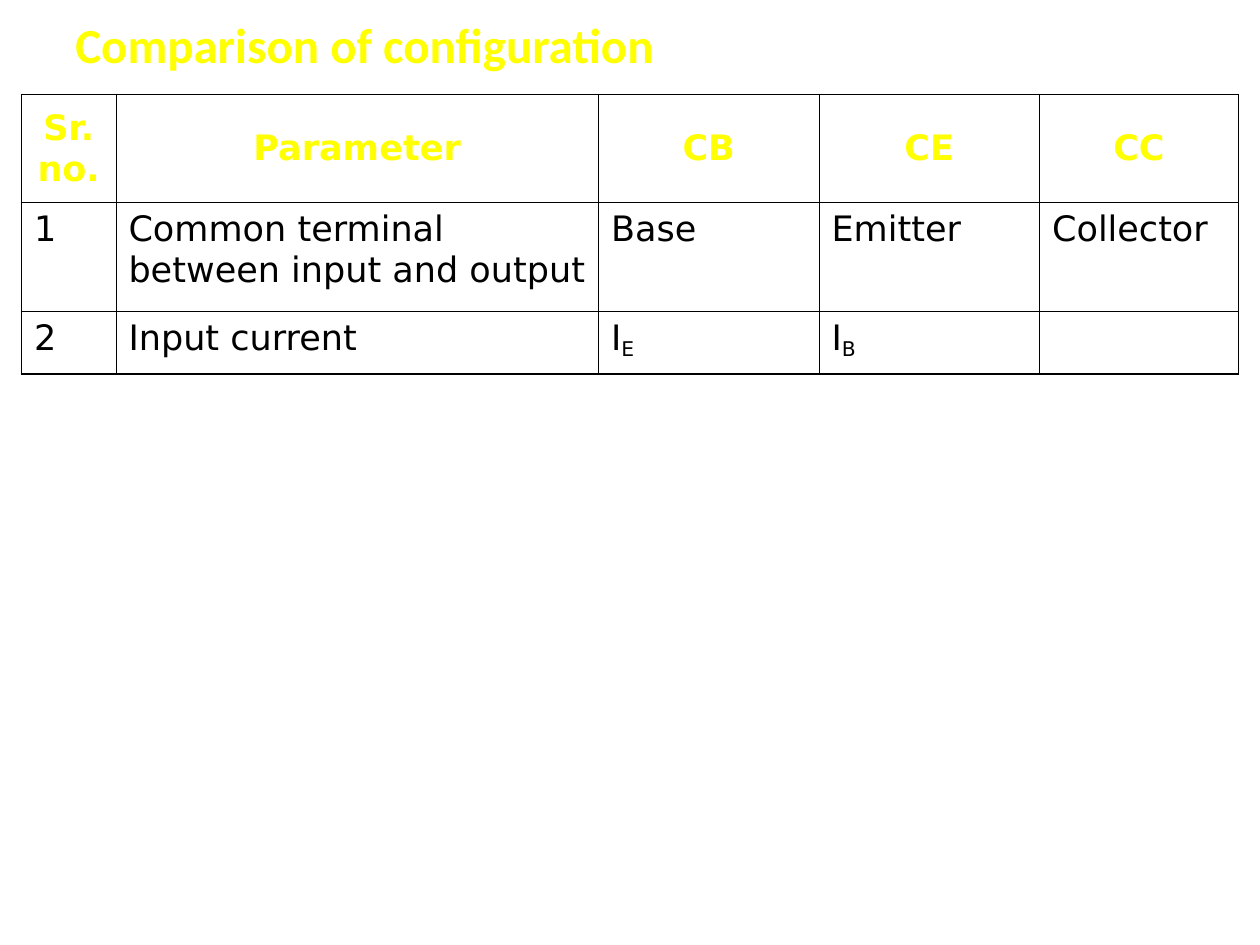
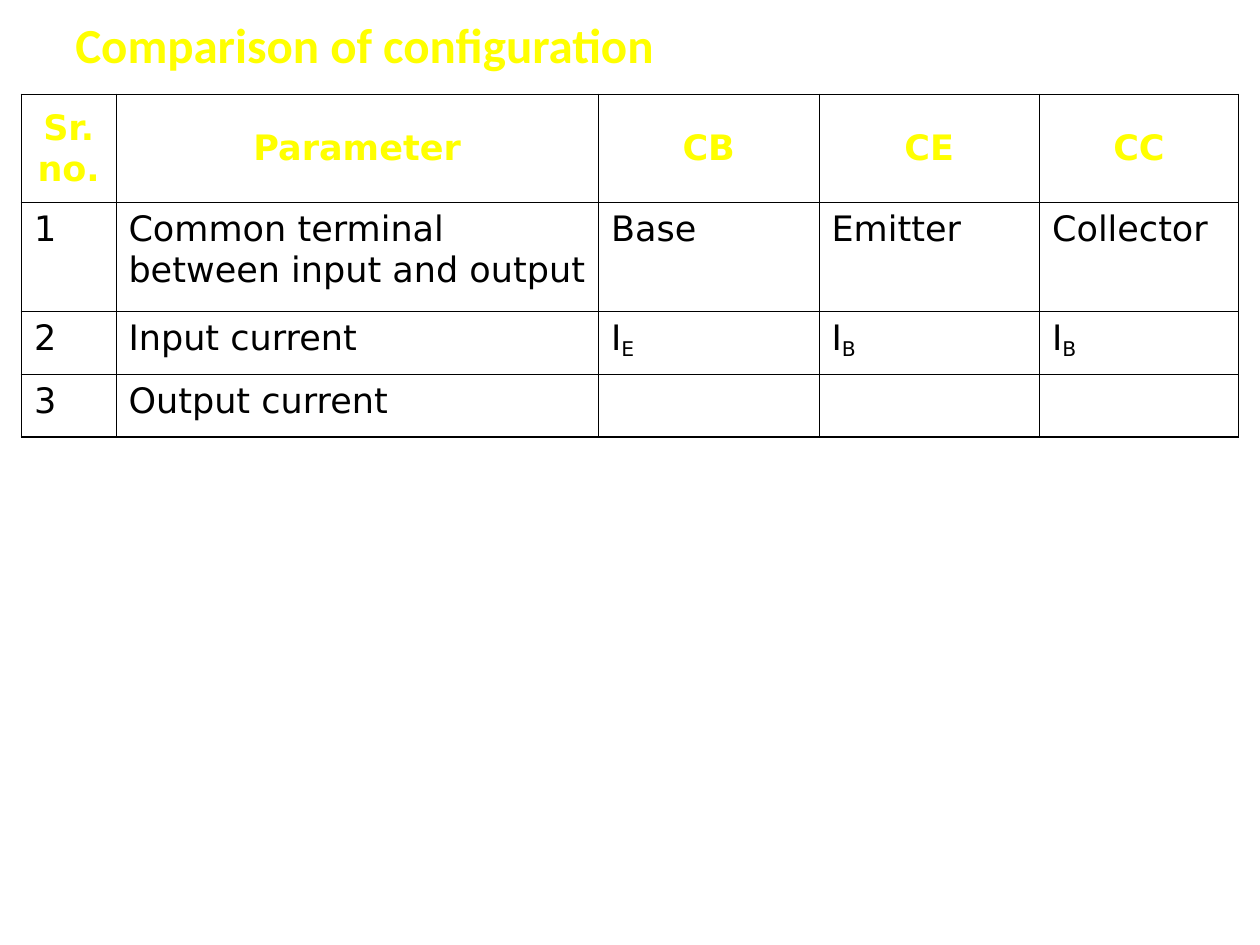
from dataclasses import dataclass

import pptx
import pptx.dml.color
import pptx.enum.text
import pptx.util
from lxml import etree
from pptx.oxml.ns import qn

Inches = pptx.util.Inches
Pt = pptx.util.Pt
RGBColor = pptx.dml.color.RGBColor
MIDDLE = pptx.enum.text.MSO_ANCHOR.MIDDLE
CENTER = pptx.enum.text.PP_ALIGN.CENTER


@dataclass(frozen=True)
class Theme:
    accent: str = "FFFF00"
    ink: str = "000000"
    title_font: str = "Calibri"
    table_font: str = "DejaVu Sans"
    title_size: int = 28
    table_size: int = 20
    outer_line: float = 1.08
    inner_line: float = 0.45


TITLE = "Comparison of configuration"
COLUMN_WIDTHS = (0.75, 3.83, 1.75, 1.75, 1.58)
TALL_ROW, SHORT_ROW = 0.86, 0.5

# An underscore marks the rest of the entry as a subscript.
HEADER = ("Sr.no.", "Parameter", "CB", "CE", "CC")
COMMON_TERMINAL = ("1", "Common terminal between input and output",
                   "Base", "Emitter", "Collector")
INPUT_CURRENT = ("2", "Input current", "I_E", "I_B")
OUTPUT_CURRENT = ("3", "Output current", "", "", "")

COMPARISONS = (
    (HEADER, COMMON_TERMINAL, INPUT_CURRENT + ("",)),
    (HEADER, COMMON_TERMINAL, INPUT_CURRENT + ("I_B",), OUTPUT_CURRENT),
)


class Deck:
    def __init__(self, theme):
        self.theme = theme
        self.presentation = pptx.Presentation()
        self.presentation.slide_width = Inches(10)
        self.presentation.slide_height = Inches(7.5)
        self.slide = None

    def add_slide(self):
        blank = self.presentation.slide_layouts[6]
        self.slide = self.presentation.slides.add_slide(blank)

    def style(self, font, name, size, color, bold):
        font.name = name
        font.size = Pt(size)
        font.bold = bold
        font.color.rgb = RGBColor.from_string(color)

    def add_title(self, wording):
        theme = self.theme
        title = self.slide.shapes.add_textbox(
            Inches(0.5), Inches(0.08), Inches(9), Inches(0.53))
        frame = title.text_frame
        frame.word_wrap = True
        frame.vertical_anchor = MIDDLE
        frame.text = wording
        self.style(frame.paragraphs[0].runs[0].font, theme.title_font,
                   theme.title_size, theme.accent, True)

    def add_comparison(self, rows):
        heights = [TALL_ROW if i < 2 else SHORT_ROW for i in range(len(rows))]
        table = self.slide.shapes.add_table(
            len(rows), len(COLUMN_WIDTHS), Inches(0.17), Inches(0.75),
            Inches(sum(COLUMN_WIDTHS)), Inches(sum(heights))).table
        table.first_row = table.horz_banding = False
        for column, width in zip(table.columns, COLUMN_WIDTHS):
            column.width = Inches(width)
        for row, height in zip(table.rows, heights):
            row.height = Inches(height)

        last_row, last_column = len(rows) - 1, len(COLUMN_WIDTHS) - 1
        for r, entries in enumerate(rows):
            for c, entry in enumerate(entries):
                cell = table.cell(r, c)
                self.border_cell(cell, {"lnL": c == 0, "lnR": c == last_column,
                                        "lnT": r == 0, "lnB": r == last_row})
                cell.fill.background()
                self.fill_entry(cell, entry, is_header=r == 0)

    def fill_entry(self, cell, entry, is_header):
        theme = self.theme
        symbol, _, subscript = entry.partition("_")
        paragraph = cell.text_frame.paragraphs[0]
        paragraph.text = symbol
        if subscript:
            lowered = paragraph.add_run()
            lowered.text = subscript
            lowered._r.get_or_add_rPr().set("baseline", "-18000")
        if is_header:
            cell.vertical_anchor = MIDDLE
            paragraph.alignment = CENTER
        for run in paragraph.runs:
            self.style(run.font, theme.table_font, theme.table_size,
                       theme.accent if is_header else theme.ink, is_header)

    def border_cell(self, cell, sides):
        """Draw each side, heavier where it lies on the table's outline."""
        properties = cell._tc.get_or_add_tcPr()
        for side, is_outer in sides.items():
            width = self.theme.outer_line if is_outer else self.theme.inner_line
            line = etree.SubElement(properties, qn(f"a:{side}"), w=str(Pt(width)))
            fill = etree.SubElement(line, qn("a:solidFill"))
            etree.SubElement(fill, qn("a:srgbClr"), val=self.theme.ink)


def main():
    deck = Deck(Theme())
    for rows in COMPARISONS:
        deck.add_slide()
        deck.add_title(TITLE)
        deck.add_comparison(rows)
    deck.presentation.save("out.pptx")


if __name__ == "__main__":
    main()
